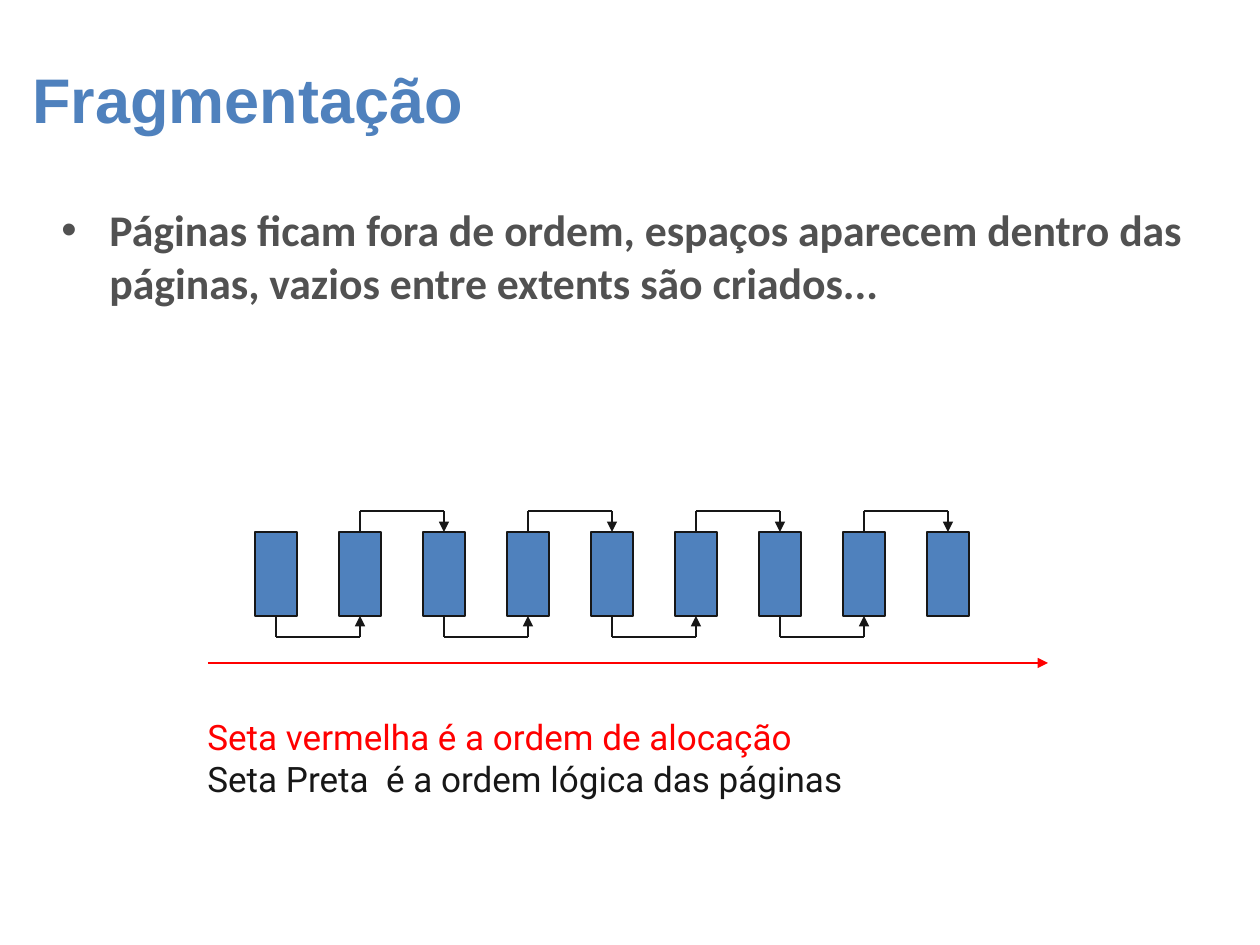
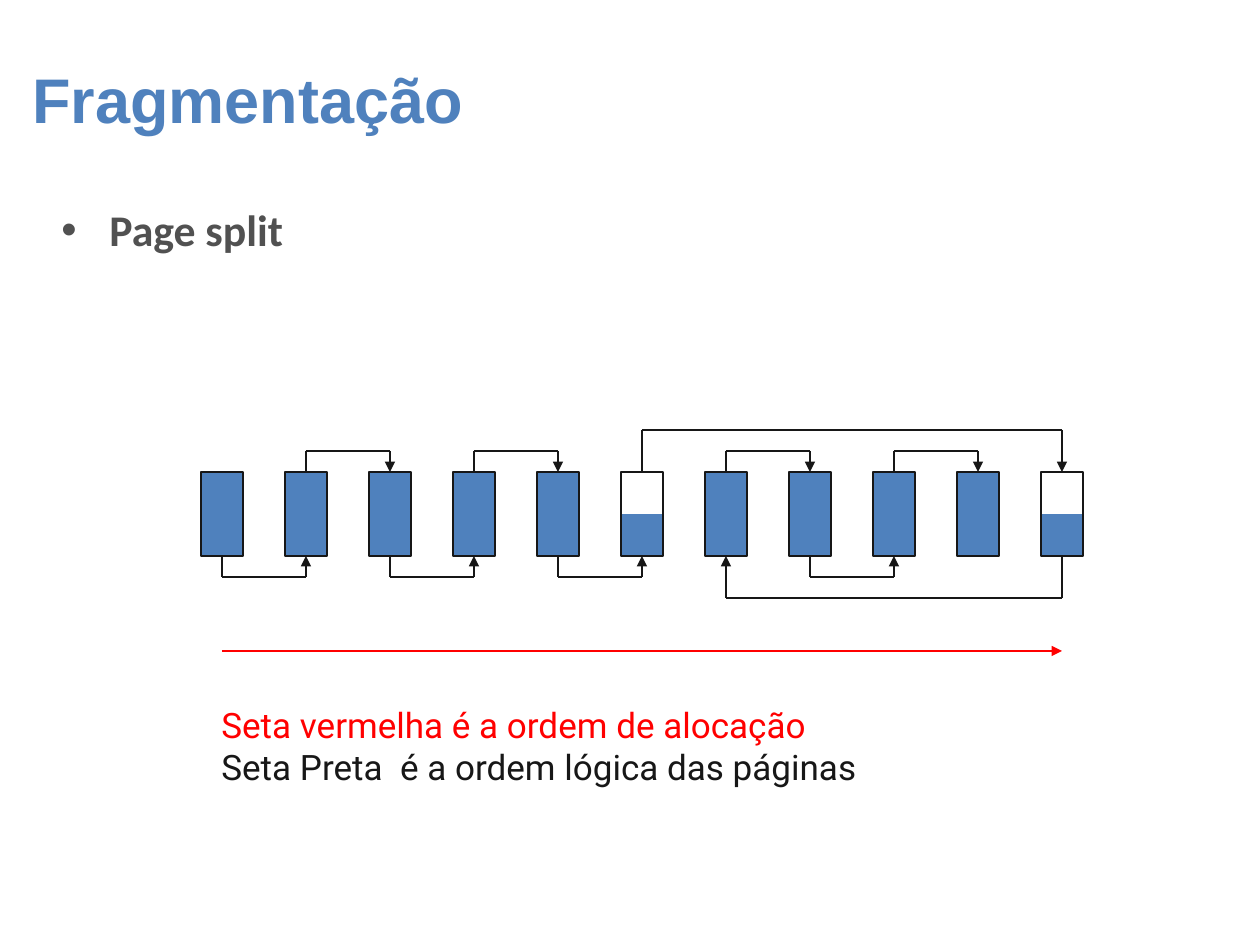
from itertools import pairwise

from lxml import etree
from pptx import Presentation
from pptx.dml.color import RGBColor
from pptx.enum import shapes, text
from pptx.oxml.ns import qn
from pptx.util import Emu, Pt

# Scale: 126 px to the inch
EMU_PER_PX = 914400 / 126
SLIDE_WIDTH, SLIDE_HEIGHT = 1260, 945

# Shared colours and text styles
BLUE, INK, GREY, RED, WHITE = "4F81BD", "171717", "515151", "FF0000", "FFFFFF"
TITLE_STYLE = {"name": "Arial", "size": Pt(36), "bold": True}
BODY_STYLE = {"name": "Calibri", "size": Pt(25), "bold": True}
LEGEND_STYLE = {"name": "Roboto", "size": Pt(20), "bold": False}

# Page diagram grid
PAGE_WIDTH, PAGE_HEIGHT, PAGE_PITCH = 42, 84, 84
NEAR_REACH, FAR_REACH = 21, 42
ALLOCATION_LENGTH = 840
LEGEND = [("Seta vermelha é a ordem de alocação", RED),
          ("Seta Preta  é a ordem lógica das páginas", INK)]


def px(length):
    return Emu(round(length * EMU_PER_PX))


def colour(hex_string):
    return RGBColor.from_string(hex_string)


def add_text(slide, box, lines, style, anchor=text.MSO_ANCHOR.TOP, wrap=True, bullet_indent=0):
    """Add a text box; lines holds (wording, colour) pairs."""
    frame = slide.shapes.add_textbox(*map(px, box)).text_frame
    frame.word_wrap = wrap
    frame.vertical_anchor = anchor
    for index, (wording, hex_string) in enumerate(lines):
        paragraph = frame.paragraphs[0] if index == 0 else frame.add_paragraph()
        if bullet_indent:
            add_bullet(paragraph, bullet_indent)
        run = paragraph.add_run()
        run.text = wording
        for name, value in style.items():
            setattr(run.font, name, value)
        run.font.color.rgb = colour(hex_string)


def add_bullet(paragraph, indent):
    properties = paragraph._p.get_or_add_pPr()
    properties.set("marL", str(px(indent)))
    properties.set("indent", str(-px(indent)))
    etree.SubElement(properties, qn("a:buFont"), typeface="Arial")
    etree.SubElement(properties, qn("a:buChar"), char="•")


def add_rectangle(slide, box, fill=None, outline=None):
    shape = slide.shapes.add_shape(shapes.MSO_SHAPE.RECTANGLE, *map(px, box))
    shape.shadow.inherit = False
    for part, hex_string in ((shape.fill, fill), (shape.line.fill, outline)):
        if hex_string:
            part.solid()
            part.fore_color.rgb = colour(hex_string)
        else:
            part.background()
    if outline:
        shape.line.width = Pt(1.5)


def add_line(slide, start, end, hex_string=INK, width=1.5, arrow=False):
    connector = slide.shapes.add_connector(
        shapes.MSO_CONNECTOR.STRAIGHT, *map(px, (*start, *end)))
    connector.line.color.rgb = colour(hex_string)
    connector.line.width = Pt(width)
    if arrow:
        etree.SubElement(connector.line._get_or_add_ln(), qn("a:tailEnd"), type="triangle")
    etree.SubElement(connector._element.spPr, qn("a:effectLst"))


def add_elbow_arrow(slide, start_x, end_x, edge_y, turn_y):
    """Leave one page, run alongside the row and point into another page."""
    points = [(start_x, edge_y), (start_x, turn_y), (end_x, turn_y), (end_x, edge_y)]
    for start, end in pairwise(points):
        add_line(slide, start, end, arrow=end == points[-1])


def add_page(slide, left, top, split):
    box = (left, top, PAGE_WIDTH, PAGE_HEIGHT)
    if split:
        half = PAGE_HEIGHT // 2
        add_rectangle(slide, box, fill=WHITE)
        add_rectangle(slide, (left, top + half, PAGE_WIDTH, half), fill=BLUE)
        add_rectangle(slide, box, outline=INK)
    else:
        add_rectangle(slide, box, fill=BLUE, outline=INK)


def add_page_chain(slide, left, top, logical_order, split_pages=()):
    """Draw the row of pages and link them, alternately below and above."""
    for page in range(len(logical_order)):
        add_page(slide, left + page * PAGE_PITCH, top, page in split_pages)
    for step, (source, target) in enumerate(pairwise(logical_order)):
        reach = NEAR_REACH if abs(target - source) == 1 else FAR_REACH
        start_x, end_x = (left + PAGE_WIDTH // 2 + page * PAGE_PITCH for page in (source, target))
        if step % 2:
            add_elbow_arrow(slide, start_x, end_x, top, top - reach)
        else:
            bottom = top + PAGE_HEIGHT
            add_elbow_arrow(slide, start_x, end_x, bottom, bottom + reach)


def add_allocation_legend(slide, left, top):
    add_line(slide, (left, top), (left + ALLOCATION_LENGTH, top), RED, 0.75, arrow=True)
    add_text(slide, (left - 13, top + 46, 663, 92), LEGEND, LEGEND_STYLE, wrap=False)


def add_topic_slide(presentation, topic):
    slide = presentation.slides.add_slide(presentation.slide_layouts[6])
    add_text(slide, (20, 49, 1240, 98), [("Fragmentação", BLUE)], TITLE_STYLE,
             anchor=text.MSO_ANCHOR.MIDDLE)
    add_text(slide, (49, 197, 1152, 610), [(topic, GREY)], BODY_STYLE, bullet_indent=48)
    return slide


def main():
    presentation = Presentation()
    presentation.slide_width = px(SLIDE_WIDTH)
    presentation.slide_height = px(SLIDE_HEIGHT)

    # Pages out of order
    slide = add_topic_slide(
        presentation,
        "Páginas ficam fora de ordem, espaços aparecem dentro das páginas, "
        "vazios entre extents são criados...")
    add_page_chain(slide, 255, 532, range(9))
    add_allocation_legend(slide, 208, 663)

    # Page split: half of page 5 moves to the new page 10
    slide = add_topic_slide(presentation, "Page split")
    add_page_chain(slide, 201, 472, [*range(6), 10, *range(6, 10)], split_pages=(5, 10))
    add_allocation_legend(slide, 222, 651)

    presentation.save("out.pptx")


if __name__ == "__main__":
    main()
